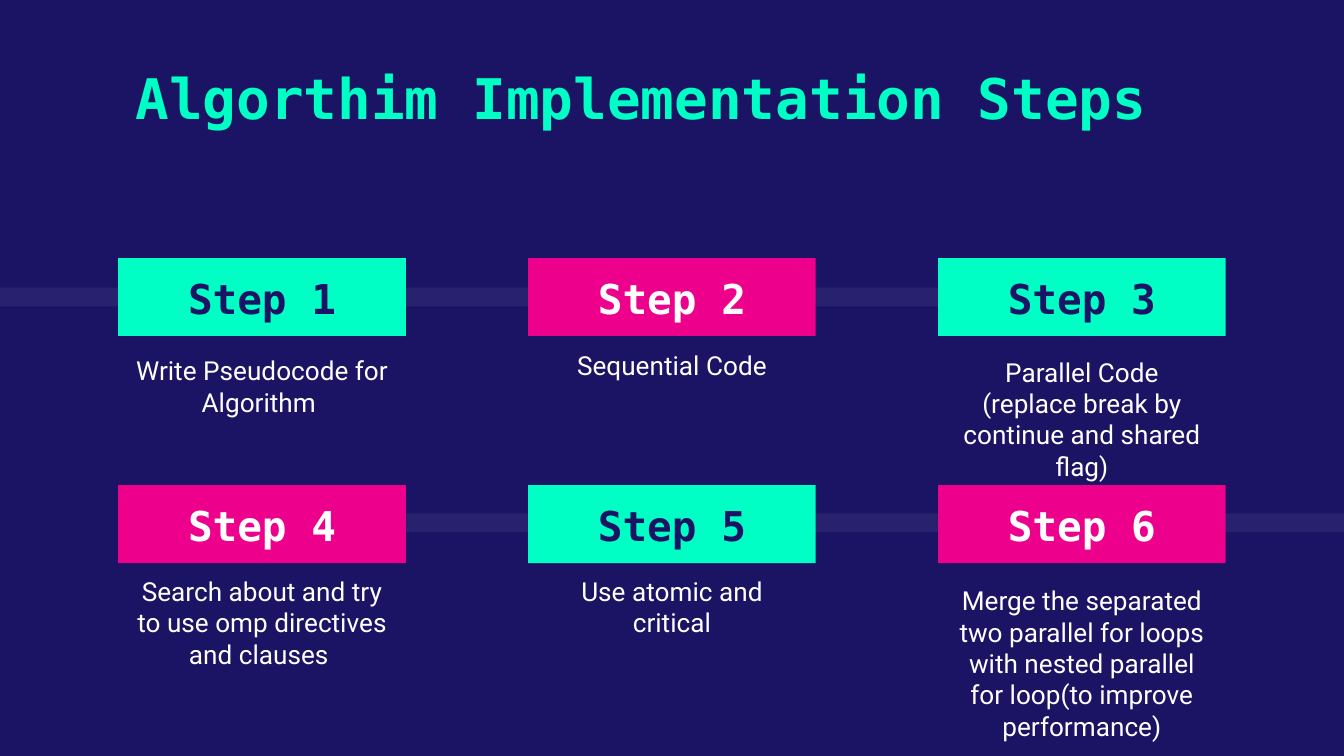
from lxml import etree
from pptx import Presentation
from pptx.dml.color import RGBColor
from pptx.enum.shapes import MSO_SHAPE
from pptx.enum.text import MSO_ANCHOR, MSO_AUTO_SIZE, PP_ALIGN
from pptx.oxml.ns import qn
from pptx.util import Inches, Pt

RECT = MSO_SHAPE.RECTANGLE
TOP, BOTTOM = MSO_ANCHOR.TOP, MSO_ANCHOR.BOTTOM
CENTER = PP_ALIGN.CENTER
NO_FIT = MSO_AUTO_SIZE.NONE

COLORS = {"navy": "1B1464", "mint": "00FFC5", "pink": "EC008C", "white": "FFFFFF"}
MONO, SANS = "DejaVu Sans Mono", "Roboto"

COL_GAP, ROW_GAP = 3.05, 1.69
STEP_W, STEP_H = 2.14, 0.58
# Text of each step and its distance below the step's box
STEPS = [
    ("Write Pseudocode for Algorithm ", 0.04),
    ("Sequential Code", 0),
    ("Parallel Code (replace break by continue and shared flag)", 0.05),
    ("Search about and try to use omp directives and clauses ", -0.01),
    ("Use atomic and critical", -0.01),
    ("Merge the separated two parallel for loops with nested parallel "
     "for loop(to improve performance)", 0.06),
]


def rgb(name):
    return RGBColor.from_string(COLORS[name])


def write(shape, text, font, size, color, bold=False, anchor=TOP):
    frame = shape.text_frame
    frame.text = text
    frame.word_wrap = True
    frame.auto_size = NO_FIT
    frame.vertical_anchor = anchor
    frame.margin_left = frame.margin_right = Inches(0.1)
    frame.margin_top = frame.margin_bottom = Inches(0.1)
    para = frame.paragraphs[0]
    para.alignment = CENTER
    style = para.runs[0].font
    style.name, style.size, style.bold = font, Pt(size), bold
    style.color.rgb = rgb(color)


def add_box(slide, x, y, w, h, color):
    box = slide.shapes.add_shape(RECT, Inches(x), Inches(y), Inches(w), Inches(h))
    box.shadow.inherit = False
    box.fill.solid()
    box.fill.fore_color.rgb = rgb(color)
    box.line.fill.background()
    return box


def add_band(slide, x, y, w):
    """Draw a faint white stripe behind a row of steps."""
    band = add_box(slide, x, y, w, 0.14, "white")
    color = band._element.spPr.find(qn("a:solidFill"))[0]
    etree.SubElement(color, qn("a:alpha"), val="6000")


def add_title(slide, x, y, w, h):
    title = slide.shapes.title
    title.left, title.top = Inches(x), Inches(y)
    title.width, title.height = Inches(w), Inches(h)
    write(title, "Algorthim Implementation Steps ", MONO, 30, "mint", True)


def add_step(slide, x, y, num, text, gap):
    fill, ink = ("mint", "navy") if num % 2 else ("pink", "white")
    box = add_box(slide, x, y, STEP_W, STEP_H, fill)
    write(box, f"Step {num}", MONO, 22, ink, True, BOTTOM)
    note = slide.shapes.add_textbox(Inches(x + 0.03), Inches(y + STEP_H + gap),
                                    Inches(2.08), Inches(0.73))
    write(note, text, SANS, 14, "white")


def add_steps(slide, x, y):
    for i, (text, gap) in enumerate(STEPS):
        row, col = divmod(i, 3)
        add_step(slide, x + col * COL_GAP, y + row * ROW_GAP, i + 1, text, gap)


def main():
    deck = Presentation()
    deck.slide_width = Inches(10)
    deck.slide_height = deck.slide_width * 9 // 16
    slide = deck.slides.add_slide(deck.slide_layouts[5])
    slide.background.fill.solid()
    slide.background.fill.fore_color.rgb = rgb("navy")
    add_band(slide, 0, 2.14, 8.52)
    add_band(slide, 1.02, 3.82, 8.98)
    add_title(slide, 0.67, 0.37, 8.45, 0.73)
    add_steps(slide, 0.88, 1.92)
    deck.save("out.pptx")


if __name__ == "__main__":
    main()
